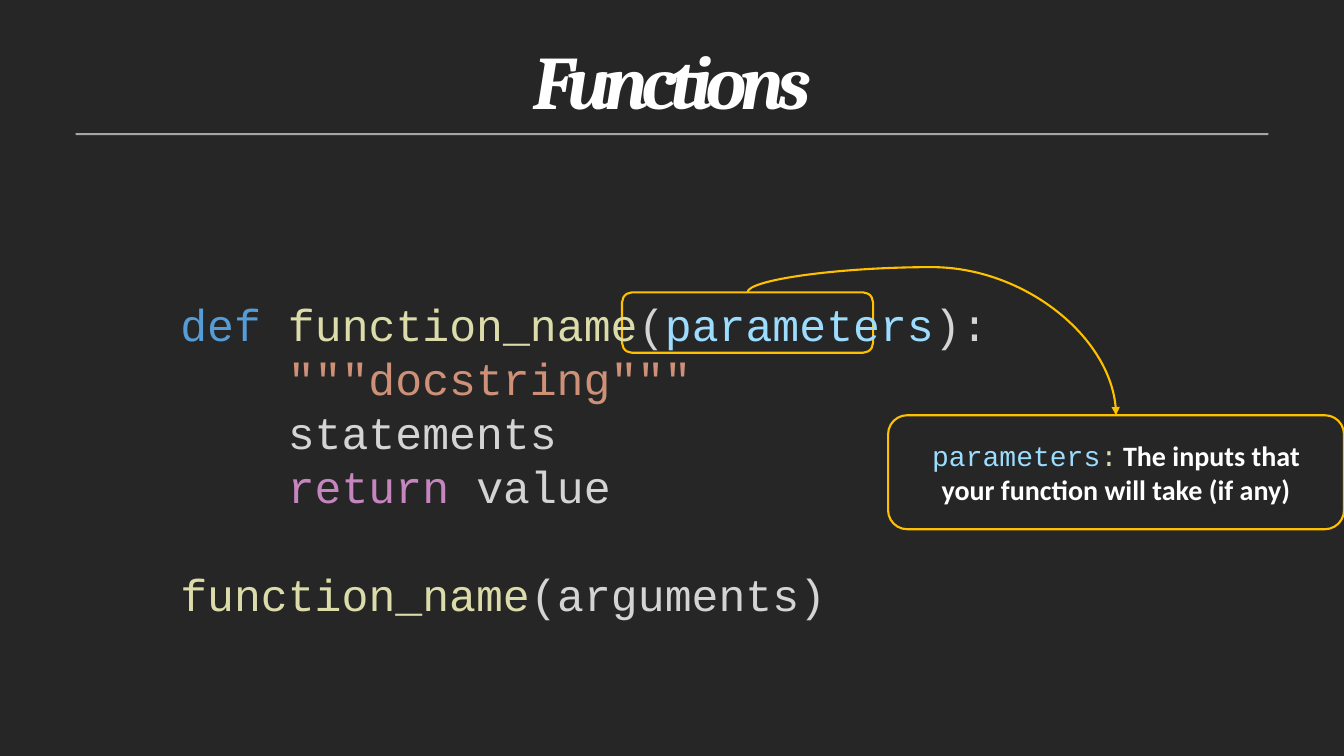
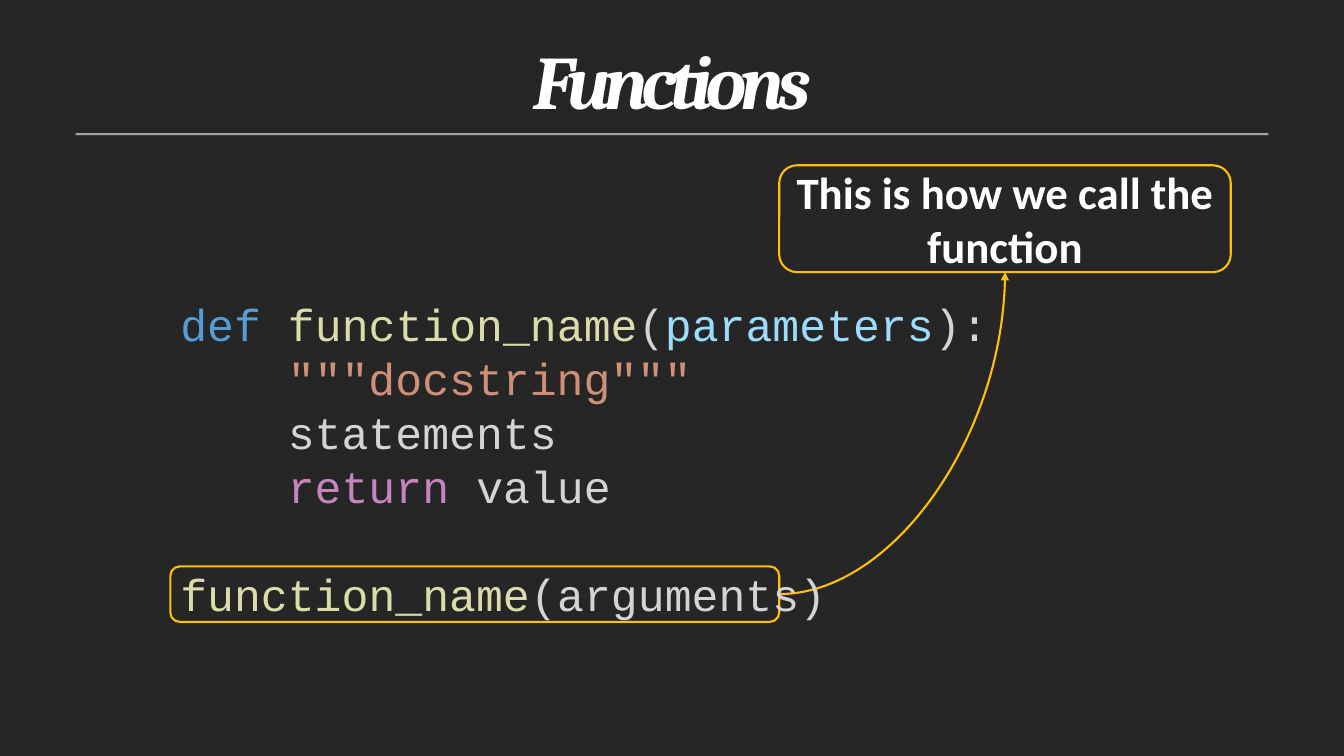
import pptx
import pptx.dml.color
import pptx.enum.shapes
import pptx.enum.text
import pptx.oxml
import pptx.oxml.ns
import pptx.util

Pt = pptx.util.Pt
SHAPE = pptx.enum.shapes.MSO_SHAPE
ALIGN = pptx.enum.text.PP_ALIGN
ANCHOR = pptx.enum.text.MSO_ANCHOR
TOP, LEFT, BOTTOM, RIGHT = range(4)

WIDTH, HEIGHT = pptx.util.Inches(13.33), pptx.util.Inches(7.5)
COLORS = {
    "back": "262626", "rule": "A6A6A6", "accent": "FFC000", "white": "FFFFFF",
    "keyword": "569CD6", "name": "DCDCAA", "plain": "D4D4D4",
    "param": "9CDCFE", "string": "CE9178", "flow": "C586C0",
}
TITLE = {"name": "Cambria", "size": Pt(54), "bold": True, "italic": True}
CODE = {"name": "Courier New", "size": Pt(32)}
CODE_NOTE = {"name": "Courier New", "size": Pt(20)}
NOTE = {"name": "Calibri", "size": Pt(20), "bold": True}
BIG_NOTE = {"name": "Calibri", "size": Pt(32), "bold": True}

RULE_BOX = (5.63, 17.6, 88.74, 0.27)
TITLE_BOX = (8.45, 0.93, 83.1, 15.07)
CODE_BOX = (12.68, 38.53, 63.83, 44.4)
CODE_PITCH = Pt(38.6)
CODE_INDENT = Pt(4 * 0.6 * 32)
CODE_LINES = [
    (0, 0, [("def ", "keyword"), ("function_name", "name"), ("(", "plain"),
            ("parameters", "param"), ("):", "plain")]),
    (1, 0, [('"""docstring"""', "string")]),
    (1, 0, [("statements", "plain")]),
    (1, 0, [("return", "flow"), (" value", "plain")]),
    (0, 1, [("function_name", "name"), ("(arguments)", "plain")]),
]


def rgb(key):
    """Return the named colour."""
    return pptx.dml.color.RGBColor.from_string(COLORS[key])


def place(box):
    """Turn percentages of the slide into left, top, width and height."""
    return [round(share * side / 100) for share, side in zip(box, (WIDTH, HEIGHT) * 2)]


def add_run(p, text, color, style):
    """Add a run with a colour and a dict of font values."""
    r = p.add_run()
    r.text = text
    r.font.color.rgb = rgb(color)
    for key, value in style.items():
        setattr(r.font, key, value)
    return r


def add_title(s, text):
    """Format the title placeholder and draw the rule below it."""
    sp = s.shapes.title
    sp.left, sp.top, sp.width, sp.height = place(TITLE_BOX)
    tf = sp.text_frame
    tf.auto_size = pptx.enum.text.MSO_AUTO_SIZE.NONE
    tf.vertical_anchor = ANCHOR.TOP
    p = tf.paragraphs[0]
    p.alignment, p.line_spacing = ALIGN.CENTER, Pt(80.7)
    r = add_run(p, text, "white", TITLE)
    r.font._element.set("spc", "-480")
    rule = s.shapes.add_shape(SHAPE.RECTANGLE, *place(RULE_BOX))
    rule.shadow.inherit = False
    rule.fill.solid()
    rule.fill.fore_color.rgb = rgb("rule")
    rule.line.fill.background()


def add_code(s, box):
    """Write the function template with indents and paragraph spacing."""
    tf = s.shapes.add_textbox(*place(box)).text_frame
    tf.word_wrap = True
    for i, (indent, gap, runs) in enumerate(CODE_LINES):
        p = tf.add_paragraph() if i else tf.paragraphs[0]
        p.line_spacing, p.space_before = CODE_PITCH, CODE_PITCH * gap
        p._p.get_or_add_pPr().set("marL", str(CODE_INDENT * indent))
        for text, color in runs:
            add_run(p, text, color, CODE)


def add_frame(s, box, runs=()):
    """Draw a rounded outline with optional centred text."""
    sp = s.shapes.add_shape(SHAPE.ROUNDED_RECTANGLE, *place(box))
    sp.shadow.inherit = False
    sp.fill.background()
    sp.line.color.rgb = rgb("accent")
    sp.line.width = Pt(1.5)
    tf = sp.text_frame
    tf.word_wrap, tf.vertical_anchor = True, ANCHOR.MIDDLE
    p = tf.paragraphs[0]
    p.alignment = ALIGN.CENTER
    for run in runs:
        add_run(p, *run)
    return sp


def add_curve(s, start, start_site, end, end_site, preset, adjust=None):
    """Join two frames with a curved arrow, turned upright if it leaves from the top."""
    cxn = s.shapes.add_connector(pptx.enum.shapes.MSO_CONNECTOR.CURVE, 0, 0, 0, 0)
    cxn.begin_connect(start, start_site)
    cxn.end_connect(end, end_site)
    cxn.line.color.rgb = rgb("accent")
    cxn.line.width = Pt(1.5)
    spPr = cxn._element.spPr
    ns = pptx.oxml.ns.nsdecls("a")
    cxn.line._get_or_add_ln().append(pptx.oxml.parse_xml(f'<a:tailEnd {ns} type="triangle"/>'))
    spPr.append(pptx.oxml.parse_xml(f"<a:effectLst {ns}/>"))
    geom = spPr.find(pptx.oxml.ns.qn("a:prstGeom"))
    geom.set("prst", preset)
    if adjust is not None:
        guide = f'<a:avLst {ns}><a:gd name="adj1" fmla="val {adjust}"/></a:avLst>'
        for old in list(geom):
            geom.remove(old)
        geom.append(pptx.oxml.parse_xml(guide))
    if start_site == TOP:
        x, y, w, h = cxn.left, cxn.top, cxn.width, cxn.height
        cxn.left, cxn.top = x + (w - h) // 2, y + (h - w) // 2
        cxn.width, cxn.height = h, w
        cxn.rotation = 270
        spPr.find(pptx.oxml.ns.qn("a:xfrm")).set("flipH", "1")


def new_slide(prs):
    """Add a slide with the shared title and rule."""
    s = prs.slides.add_slide(prs.slide_layouts[5])
    add_title(s, "Functions")
    return s


def parameters_slide(prs):
    """Explain the parameters of the function."""
    s = new_slide(prs)
    target = add_frame(s, (46.28, 38.67, 18.68, 8))
    note = add_frame(s, (66.08, 54.93, 33.92, 15.07), [
        ("parameters", "param", CODE_NOTE),
        (":", "name", CODE_NOTE),
        (" ", "white", {"name": "Calibri", "size": Pt(18)}),
        ("The inputs that your function will take (if any)", "white", NOTE),
    ])
    add_curve(s, target, TOP, note, TOP, "curvedConnector3", -20500)
    add_code(s, CODE_BOX)


def call_slide(prs):
    """Show how the function is called."""
    s = new_slide(prs)
    target = add_frame(s, (12.68, 74.93, 45.3, 7.33))
    note = add_frame(s, (57.98, 21.87, 33.6, 14.13), [
        ("This is how we call the function", "white", BIG_NOTE),
    ])
    add_curve(s, target, RIGHT, note, BOTTOM, "curvedConnector2")
    add_code(s, CODE_BOX)


def main():
    """Build and save the presentation."""
    prs = pptx.Presentation()
    prs.slide_width, prs.slide_height = WIDTH, HEIGHT
    fill = prs.slide_master.background.fill
    fill.solid()
    fill.fore_color.rgb = rgb("back")
    parameters_slide(prs)
    call_slide(prs)
    prs.save("out.pptx")


if __name__ == "__main__":
    main()
